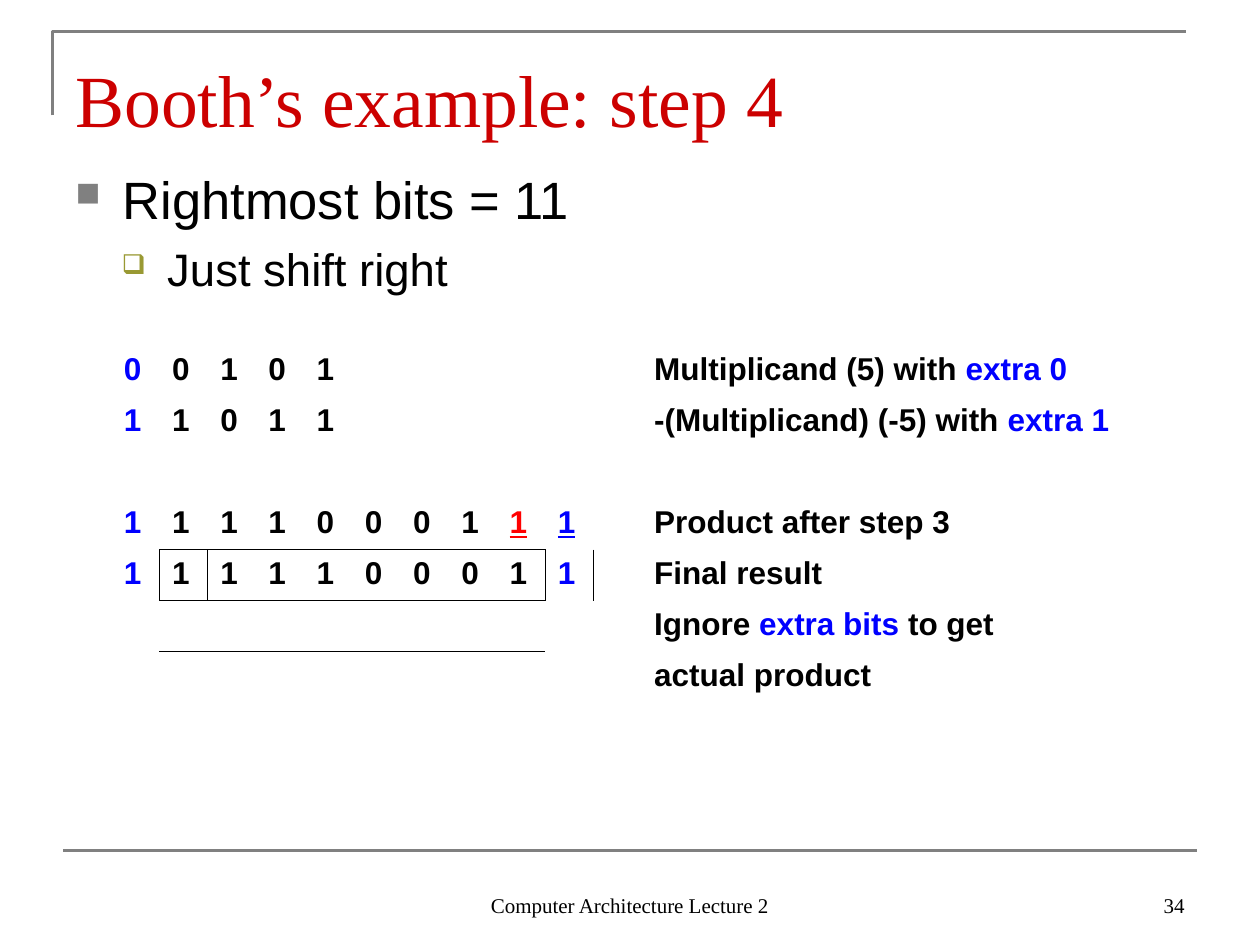
from typing import NamedTuple

from lxml.etree import SubElement as Sub
from pptx import Presentation
from pptx.dml.color import RGBColor
from pptx.enum.text import MSO_ANCHOR as Anchor, PP_ALIGN as Align
from pptx.oxml.ns import qn
from pptx.util import Pt

BLACK, BLUE, RED, GRAY = "000000", "0000FF", "FF0000", "808080"
SERIF, SANS = "Times New Roman", "Arial"
PLAIN = "{2D5ABB26-0587-4C30-8999-92F81FD0307C}"  # no style, no grid


class Run(NamedTuple):
    text: str
    color: str = BLACK
    under: bool = False


class Bullet(NamedTuple):
    char: str
    color: str
    scale: int
    left: float
    hang: float


class Line(NamedTuple):
    runs: list[Run]
    size: float
    face: str
    align: Align = Align.LEFT
    before: float = 0
    bullet: Bullet | None = None


class Box(NamedTuple):
    left: float
    top: float
    width: float
    height: float
    lines: list[Line]
    anchor: Anchor
    inset: float = 3.6


class Row(NamedTuple):
    bits: str = ""
    note: tuple[Run, ...] = ()


def paint(target, code: str) -> None:
    target.rgb = RGBColor.from_string(code)


def add_runs(par, runs, **style) -> None:
    for item in runs:
        run = par.add_run()
        run.text = item.text
        for key, value in (style | {"underline": item.under}).items():
            setattr(run.font, key, value)
        paint(run.font.color, item.color)


def add_bullet(par, mark: Bullet) -> None:
    ppr = par._p.get_or_add_pPr()
    ppr.set("marL", str(Pt(mark.left)))
    ppr.set("indent", str(Pt(-mark.hang)))
    tint = Sub(ppr, qn("a:buClr"))
    Sub(tint, qn("a:srgbClr"), val=mark.color)
    Sub(ppr, qn("a:buSzPct"), val=str(mark.scale * 1000))
    Sub(ppr, qn("a:buChar"), char=mark.char)


def add_box(slide, box: Box) -> None:
    frame = slide.shapes.add_textbox(*map(Pt, box[:4])).text_frame
    look = {"word_wrap": True, "vertical_anchor": box.anchor,
            "margin_top": Pt(box.inset)}
    for key, value in look.items():
        setattr(frame, key, value)
    for i, line in enumerate(box.lines):
        par = frame.add_paragraph() if i else frame.paragraphs[0]
        par.alignment = line.align
        par.level = i
        if i:
            par.space_before = Pt(line.before)
        if line.bullet:
            add_bullet(par, line.bullet)
        add_runs(par, line.runs, size=Pt(line.size), name=line.face)


def add_rules(slide) -> None:
    pen = slide.shapes.build_freeform(Pt(30), Pt(66), scale=1.0)
    pen.add_line_segments([(Pt(30), Pt(18)), (Pt(678), Pt(18))], close=False)
    frame = pen.convert_to_shape()
    frame.shadow.inherit = False
    frame.fill.background()
    rule = slide.shapes.add_connector(1, Pt(36), Pt(486), Pt(684), Pt(486))
    Sub(rule._element.spPr, qn("a:effectLst"))
    for shape in (frame, rule):
        shape.line.width = Pt(1.5)
        shape.line.fill.solid()
        paint(shape.line.color, GRAY)


def sides(row: int, col: int) -> str:
    """Cell sides that lie on the frame round the result bits."""
    level, span = row == 4, 2 <= col <= 9
    tests = {"L": level and col in (2, 10), "R": level and col in (1, 9),
             "T": span and row in (4, 5), "B": span and row in (3, 4)}
    return "".join(side for side, hit in tests.items() if hit)


def add_edge(cell, side: str) -> None:
    line = Sub(cell._tc.get_or_add_tcPr(), qn(f"a:ln{side}"), w=str(Pt(0.45)))
    Sub(Sub(line, qn("a:solidFill")), qn("a:srgbClr"), val=BLACK)


def bit_run(row: int, spot: int, bit: str) -> Run:
    color = BLUE if spot in (0, 9) else BLACK
    tested = row == 3 and spot in (8, 9)
    return Run(bit, RED if tested and spot == 8 else color, tested)


def add_grid(slide, rows: list[Row]) -> None:
    widths = [27.58] * 12 + [289.6]
    high = 29.2
    shape = slide.shapes.add_table(len(rows), len(widths), Pt(36), Pt(197.3),
                                   Pt(sum(widths)), Pt(high * len(rows)))
    table = shape.table
    table.first_row = table.horz_banding = False
    table._tbl.tblPr.find(qn("a:tableStyleId")).text = PLAIN
    for col, width in zip(table.columns, widths):
        col.width = Pt(width)
    for r, row in enumerate(rows):
        table.rows[r].height = Pt(high)
        texts = {i + 1: [bit_run(r, i, bit)] for i, bit in enumerate(row.bits)}
        texts[len(widths) - 1] = row.note
        for c in range(len(widths)):
            cell = table.cell(r, c)
            for side in sides(r, c):
                add_edge(cell, side)
            cell.fill.background()
            add_runs(cell.text_frame.paragraphs[0], texts.get(c, ()),
                     size=Pt(18), name=SANS, bold=True)


ROWS = [
    Row("00101", (Run("Multiplicand (5) with "), Run("extra 0", BLUE))),
    Row("11011", (Run("-(Multiplicand) (-5) with "), Run("extra 1", BLUE))),
    Row(),
    Row("1111000111", (Run("Product after step 3"),)),
    Row("1111100011", (Run("Final result"),)),
    Row("", (Run("Ignore "), Run("extra bits ", BLUE), Run("to get"))),
    Row("", (Run("actual product"),)),
]

BOXES = [
    # Title
    Box(36, 21.6, 648, 56.2, [
        Line([Run("Booth’s example: step 4", "CC0000")], 42, SERIF),
    ], Anchor.TOP, 9),
    # Bullets
    Box(36, 90, 648, 84.2, [
        Line([Run("Rightmost bits = 11")], 30, SANS,
             bullet=Bullet("■", GRAY, 65, 27, 27)),
        Line([Run("Just shift right")], 26, SANS, before=6.5,
             bullet=Bullet("❑", "999933", 60, 52.5, 26)),
    ], Anchor.MIDDLE),
    # Footer and slide number
    Box(246, 492, 228, 36, [
        Line([Run("Computer Architecture Lecture 2")], 12, SERIF, Align.CENTER),
    ], Anchor.BOTTOM),
    Box(516, 492, 168, 36, [
        Line([Run("34")], 12, SERIF, Align.RIGHT),
    ], Anchor.BOTTOM),
]


def main() -> None:
    deck = Presentation()
    deck.slide_width, deck.slide_height = Pt(720), Pt(540)
    slide = deck.slides.add_slide(deck.slide_layouts[6])
    add_rules(slide)
    for box in BOXES:
        add_box(slide, box)
    add_grid(slide, ROWS)
    deck.save("out.pptx")


if __name__ == "__main__":
    main()
